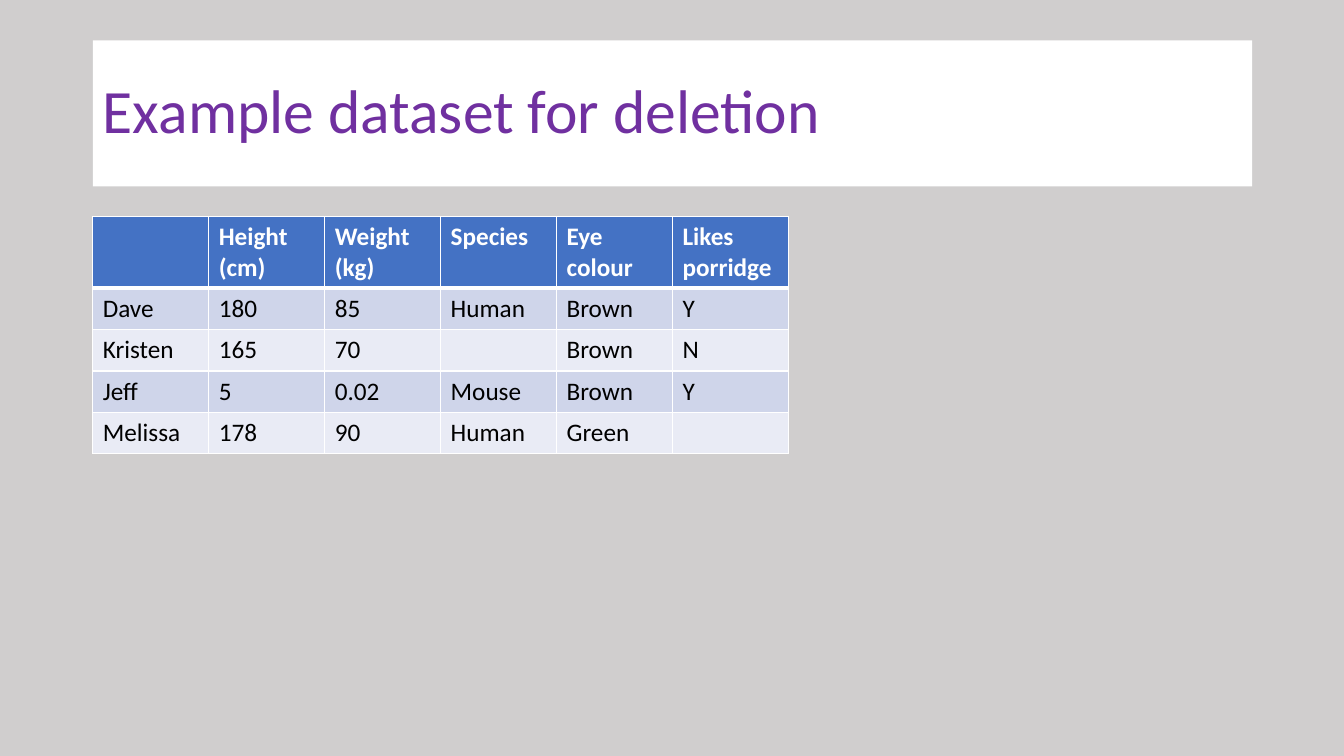
from dataclasses import dataclass
from lxml.etree import SubElement
from pptx import Presentation
from pptx.dml.color import RGBColor
from pptx.enum.text import MSO_ANCHOR, MSO_AUTO_SIZE, PP_ALIGN
from pptx.oxml.ns import qn
from pptx.util import Inches, Pt


@dataclass(frozen=True)
class Theme:
    font: str = "Calibri"
    title_size: int = 44
    table_size: int = 18
    background: str = "D0CECE"
    purple: str = "7030A0"
    blue: str = "4472C4"
    dark_band: str = "CFD5EA"
    light_band: str = "E9EBF5"
    white: str = "FFFFFF"
    black: str = "000000"


theme = Theme()


def set_text(tf, text, size, color, bold=False, spacing=1.0):
    p = tf.paragraphs[0]
    p.alignment = PP_ALIGN.LEFT
    p.line_spacing = spacing
    p.font.size = Pt(size)
    if text:
        r = p.add_run()
        r.text = text
        r.font.name = theme.font
        r.font.size = Pt(size)
        r.font.bold = bold
        r.font.color.rgb = RGBColor.from_string(color)


def set_borders(cell, color, **widths):
    tc_pr = cell._tc.get_or_add_tcPr()
    for side in "LRTB":
        ln = SubElement(tc_pr, qn(f"a:ln{side}"), w=str(Pt(widths.get(side, 1))))
        SubElement(SubElement(ln, qn("a:solidFill")), qn("a:srgbClr"), val=color)


# Slide and background
prs = Presentation()
prs.slide_width, prs.slide_height = Inches(13.33), Inches(7.5)
s = prs.slides.add_slide(prs.slide_layouts[5])
s.background.fill.solid()
s.background.fill.fore_color.rgb = RGBColor.from_string(theme.background)

# Title
title = s.shapes.title
title.left, title.top = Inches(0.92), Inches(0.4)
title.width, title.height = Inches(11.5), Inches(1.45)
title.fill.solid()
title.fill.fore_color.rgb = RGBColor.from_string(theme.white)
tf = title.text_frame
tf.word_wrap = True
tf.auto_size = MSO_AUTO_SIZE.NONE
tf.vertical_anchor = MSO_ANCHOR.MIDDLE
set_text(tf, "Example dataset for deletion", theme.title_size, theme.purple, spacing=0.9)

# Dataset table
rows = [
    ["", "Height (cm)", "Weight (kg)", "Species", "Eye colour", "Likes porridge"],
    ["Dave", "180", "85", "Human", "Brown", "Y"],
    ["Kristen", "165", "70", "", "Brown", "N"],
    ["Jeff", "5", "0.02", "Mouse", "Brown", "Y"],
    ["Melissa", "178", "90", "Human", "Green", ""],
]
table = s.shapes.add_table(len(rows), len(rows[0]), Inches(0.92), Inches(2.15),
                           Inches(6.9), Inches(2.32)).table
for column in table.columns:
    column.width = Inches(1.15)

for i, row in enumerate(rows):
    header = i == 0
    table.rows[i].height = Inches(0.7 if header else 0.41)
    fill = theme.blue if header else (theme.light_band, theme.dark_band)[i % 2]
    rule = {0: {"B": 3}, 1: {"T": 3}}.get(i, {})
    for j, text in enumerate(row):
        cell = table.cell(i, j)
        set_borders(cell, theme.white, **rule)
        cell.fill.solid()
        cell.fill.fore_color.rgb = RGBColor.from_string(fill)
        set_text(cell.text_frame, text, theme.table_size,
                 theme.white if header else theme.black, bold=header)

prs.save("out.pptx")
